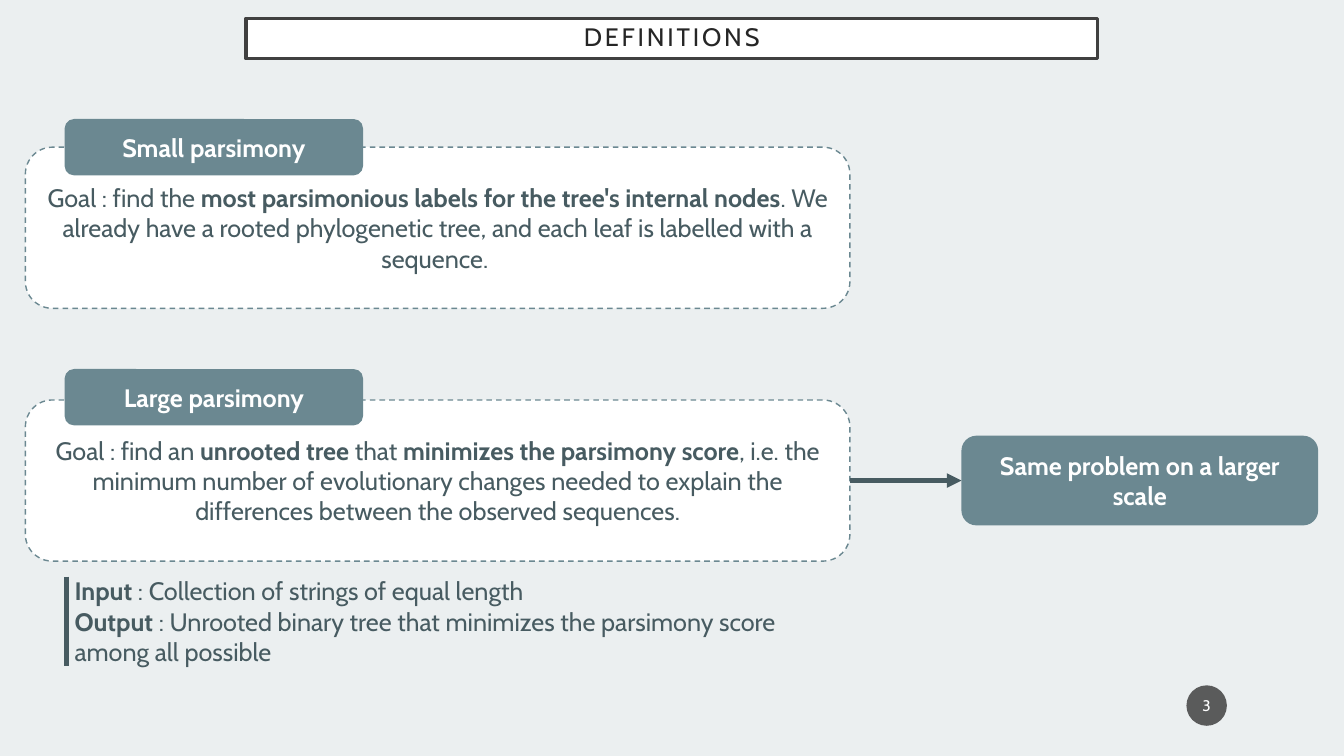
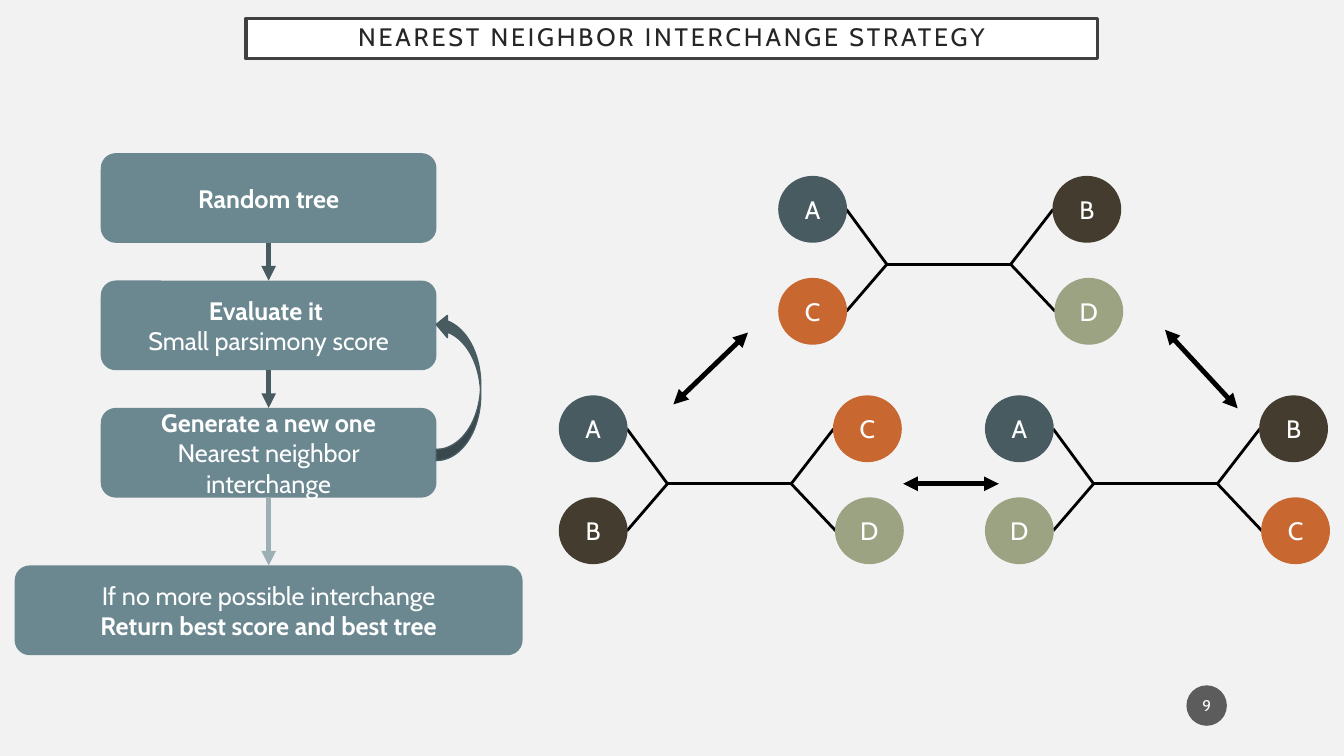
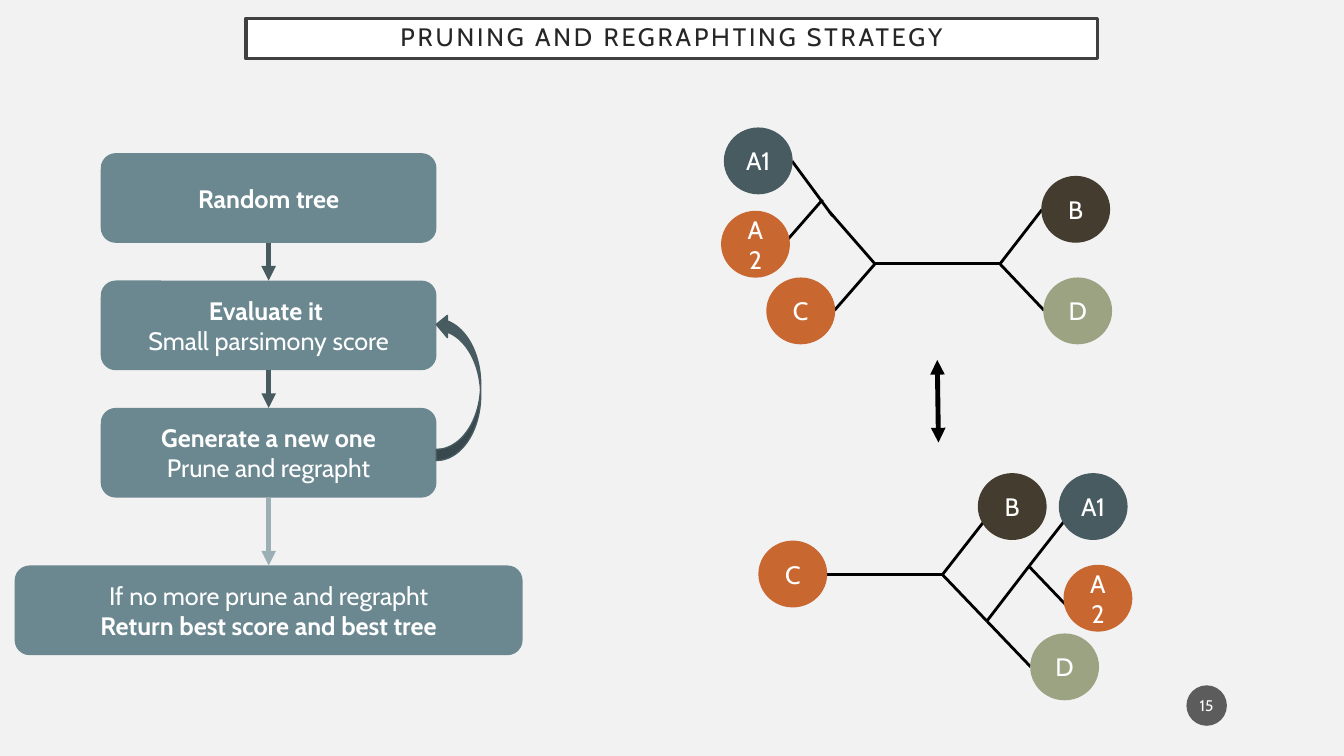
"""Build three slides on parsimony definitions and tree search strategies."""

from dataclasses import dataclass
from typing import NamedTuple

from lxml.etree import SubElement
from pptx import Presentation
from pptx.dml.color import RGBColor
from pptx.enum.dml import MSO_LINE_DASH_STYLE as Dash
from pptx.enum.shapes import MSO_CONNECTOR as ConnectorKind, MSO_SHAPE as ShapeKind
from pptx.enum.text import MSO_ANCHOR as Anchor, MSO_AUTO_SIZE as AutoSize, PP_ALIGN as Align
from pptx.oxml.ns import qn
from pptx.shapes.autoshape import Shape
from pptx.shapes.connector import Connector
from pptx.slide import Slide
from pptx.text.text import TextFrame
from pptx.util import Cm, Pt


@dataclass(frozen=True)
class Theme:
    font: str = "Cabin"
    body_size: float = 18
    badge_size: float = 11
    definition_back: str = "EBEFF0"
    strategy_back: str = "F2F2F2"
    white: str = "FFFFFF"
    black: str = "000000"
    teal: str = "6B8891"
    pale_teal: str = "9BAFB5"
    slate: str = "475B61"
    brown: str = "443C2E"
    orange: str = "C96731"
    green: str = "9CA383"
    title_text: str = "262626"
    title_border: str = "404040"
    badge: str = "1D1D1D"
    hairline: float = 1
    branch_line: float = 2
    title_line: float = 2.5
    arrow_line: float = 3.5


THEME = Theme()
LEAF_COLOURS = {
    "A": THEME.slate,
    "A1": THEME.slate,
    "A2": THEME.orange,
    "B": THEME.brown,
    "C": THEME.orange,
    "D": THEME.green,
}
LEAF_WIDTH, LEAF_HEIGHT = 1.7, 1.65


class Box(NamedTuple):
    left: float
    top: float
    width: float
    height: float


class Point(NamedTuple):
    x: float
    y: float


class Leaf(NamedTuple):
    label: str
    left: float
    top: float


class Branch(NamedTuple):
    start: Point
    end: Point


class Definition(NamedTuple):
    name: str
    goal: str
    tab_top: float
    panel_top: float


class Tree(NamedTuple):
    leaves: list[Leaf]
    branches: list[Branch]


class Strategy(NamedTuple):
    title: str
    number: int
    move: str
    stop: str
    trees: list[Tree]
    swaps: list[Branch]


def write(frame: TextFrame, lines: list[str], colour: str = THEME.white,
          size: float = THEME.body_size, align: Align = Align.CENTER) -> None:
    """Write one paragraph per line, with **marked** parts in bold."""
    frame.word_wrap = True
    for index, line in enumerate(lines):
        paragraph = frame.add_paragraph() if index else frame.paragraphs[0]
        paragraph.alignment = align
        for position, part in enumerate(line.split("**")):
            if part:
                run = paragraph.add_run()
                run.text = part
                run.font.name = THEME.font
                run.font.size = Pt(size)
                run.font.bold = position % 2 == 1
                run.font.color.rgb = RGBColor.from_string(colour)


def paint(shape: Shape, fill: str, line: str | None = None, width: float = THEME.hairline) -> None:
    """Fill and outline a shape."""
    shape.fill.solid()
    shape.fill.fore_color.rgb = RGBColor.from_string(fill)
    if line is None:
        shape.line.fill.background()
    else:
        shape.line.color.rgb = RGBColor.from_string(line)
        shape.line.width = Pt(width)


def add_shape(slide: Slide, kind: ShapeKind, box: Box, fill: str, line: str | None = None) -> Shape:
    """Add a flat preset shape with its text anchored in the middle."""
    shape = slide.shapes.add_shape(kind, *map(Cm, box))
    shape.shadow.inherit = False
    paint(shape, fill, line)
    shape.text_frame.vertical_anchor = Anchor.MIDDLE
    return shape


def add_card(slide: Slide, box: Box, lines: list[str]) -> Shape:
    """Add a teal rounded rectangle with white text."""
    card = add_shape(slide, ShapeKind.ROUNDED_RECTANGLE, box, THEME.teal)
    write(card.text_frame, lines)
    return card


def add_line(slide: Slide, branch: Branch, colour: str, width: float,
             head: bool = False, tail: bool = False) -> Connector:
    """Add a straight connector with optional triangular ends."""
    connector = slide.shapes.add_connector(
        ConnectorKind.STRAIGHT, *map(Cm, branch.start), *map(Cm, branch.end))
    connector.line.color.rgb = RGBColor.from_string(colour)
    connector.line.width = Pt(width)
    properties = connector.element.spPr
    outline = properties.find(qn("a:ln"))
    for tag, shown in (("a:headEnd", head), ("a:tailEnd", tail)):
        if shown:
            SubElement(outline, qn(tag), type="triangle")
    SubElement(properties, qn("a:effectLst"))
    return connector


def join(slide: Slide, first: Shape, first_side: int, second: Shape, second_side: int,
         colour: str = THEME.slate) -> None:
    """Join two shapes with an arrow glued to the given sides."""
    origin = Point(0, 0)
    arrow = add_line(slide, Branch(origin, origin), colour, THEME.arrow_line, tail=True)
    arrow.begin_connect(first, first_side)
    arrow.end_connect(second, second_side)


def add_base(presentation: Presentation, title: str, number: int, back: str) -> Slide:
    """Add a slide with its background, framed title and number badge."""
    slide = presentation.slides.add_slide(presentation.slide_layouts[5])
    slide.background.fill.solid()
    slide.background.fill.fore_color.rgb = RGBColor.from_string(back)

    heading = slide.shapes.title
    heading.left, heading.top, heading.width, heading.height = map(Cm, Box(6.2, 0.46, 21.46, 1.02))
    paint(heading, THEME.white, THEME.title_border, THEME.title_line)
    frame = heading.text_frame
    frame.margin_left = frame.margin_right = frame.margin_top = frame.margin_bottom = Cm(0.51)
    frame.vertical_anchor = Anchor.MIDDLE
    frame.auto_size = AutoSize.NONE
    write(frame, [title], THEME.title_text)
    paragraph = frame.paragraphs[0]
    paragraph.line_spacing = 0.9
    paragraph.runs[0].font._element.set("spc", "200")

    badge = add_shape(slide, ShapeKind.OVAL, Box(29.9, 17.27, 1.02, 1.02), THEME.badge)
    SubElement(badge.element.spPr.find(".//" + qn("a:srgbClr")), qn("a:alpha"), val="70000")
    badge.text_frame.margin_left = badge.text_frame.margin_right = Cm(0.05)
    write(badge.text_frame, [str(number)], size=THEME.badge_size)
    return slide


def add_definition(slide: Slide, definition: Definition) -> Shape:
    """Add a dashed panel with its name tab and return the panel."""
    panel = add_shape(slide, ShapeKind.ROUNDED_RECTANGLE,
                      Box(0.64, definition.panel_top, 20.78, 4.06), THEME.white, THEME.teal)
    panel.line.dash_style = Dash.DASH
    write(panel.text_frame, [definition.goal], THEME.slate)
    add_card(slide, Box(1.63, definition.tab_top, 7.52, 1.42), [f"**{definition.name}**"])
    return panel


def build_definitions(presentation: Presentation) -> None:
    """Build the slide that defines small and large parsimony."""
    slide = add_base(presentation, "DEFINITIONS", 3, THEME.definition_back)
    small = Definition(
        "Small parsimony",
        "Goal : find the **most parsimonious labels for the tree's internal nodes**. "
        "We already have a rooted phylogenetic tree, and each leaf is labelled with a sequence. ",
        3, 3.71)
    large = Definition(
        "Large parsimony",
        "Goal : find an **unrooted tree **that **minimizes the parsimony score**, i.e. the minimum "
        "number of evolutionary changes needed to explain the differences between the observed "
        "sequences.",
        9.3, 10.08)
    add_definition(slide, small)
    large_panel = add_definition(slide, large)

    remark = add_card(slide, Box(24.23, 10.98, 8.99, 2.26), ["**Same problem on a larger scale**"])
    join(slide, large_panel, 3, remark, 1)

    details = slide.shapes.add_textbox(*map(Cm, Box(1.63, 14.38, 19.81, 2.57)))
    details.text_frame.auto_size = AutoSize.SHAPE_TO_FIT_TEXT
    write(details.text_frame, [
        "**Input** : Collection of strings of equal length",
        "**Output** : Unrooted binary tree that minimizes the parsimony score among all possible",
    ], THEME.slate, align=Align.LEFT)
    add_line(slide, Branch(Point(1.68, 14.53), Point(1.68, 16.79)), THEME.slate, THEME.arrow_line)


def quartet(left: float, top: float, labels: str) -> Tree:
    """Lay out four leaves, left pair first, around one inner branch."""
    places = [Point(0, 0), Point(0, 2.57), Point(6.91, 0), Point(6.96, 2.57)]
    leaves = [Leaf(label, left + x, top + y) for label, (x, y) in zip(labels, places)]
    joints = [Point(left + 2.72, top + 2.21), Point(left + 5.84, top + 2.21)]
    branches = [Branch(*joints)]
    for index, leaf in enumerate(leaves):
        on_right = index // 2
        edge = leaf.left if on_right else leaf.left + LEAF_WIDTH
        branches.append(Branch(joints[on_right], Point(edge, leaf.top + LEAF_HEIGHT / 2)))
    return Tree(leaves, branches)


def fan(start: Point, *ends: Point) -> list[Branch]:
    """Return the branches from one joint to several ends."""
    return [Branch(start, end) for end in ends]


def pruned_tree() -> Tree:
    """Lay out the tree with A1 and A2 beside C."""
    left, right = Point(22.05, 6.65), Point(25.2, 6.65)
    leaves = [Leaf("A1", 18.26, 3.23), Leaf("A2", 18.19, 5.33), Leaf("C", 19.33, 7.01),
              Leaf("B", 26.26, 4.45), Leaf("D", 26.31, 7.01)]
    branches = [
        *fan(left, right, Point(20.9, 5.33), Point(21.03, 7.82)),
        *fan(right, Point(26.26, 5.28), Point(26.31, 7.82)),
        Branch(Point(20.98, 5.44), Point(19.96, 4.06)),
        Branch(Point(20.73, 5.03), Point(19.69, 6.22)),
    ]
    return Tree(leaves, branches)


def regrafted_tree() -> Tree:
    """Lay out the tree with A1 and A2 moved beside D."""
    root, lower, upper = Point(23.75, 14.48), Point(24.87, 15.65), Point(25.93, 14.27)
    leaves = [Leaf("C", 19.13, 13.64), Leaf("D", 25.98, 15.98), Leaf("B", 24.66, 11.94),
              Leaf("A1", 26.7, 11.94), Leaf("A2", 26.82, 14.25)]
    branches = [
        *fan(root, Point(20.62, 14.48), Point(24.82, 13.11), lower),
        *fan(lower, upper, Point(25.98, 16.81)),
        *fan(upper, Point(27, 12.9), Point(27.05, 15.44)),
    ]
    return Tree(leaves, branches)


def add_tree(slide: Slide, tree: Tree) -> None:
    """Draw the branches of a tree and then its leaves."""
    for branch in tree.branches:
        add_line(slide, branch, THEME.black, THEME.branch_line)
    for leaf in tree.leaves:
        colour = LEAF_COLOURS[leaf.label]
        circle = add_shape(slide, ShapeKind.OVAL,
                           Box(leaf.left, leaf.top, LEAF_WIDTH, LEAF_HEIGHT), colour, colour)
        write(circle.text_frame, [leaf.label])


def add_flow(slide: Slide, move: str, stop: str) -> None:
    """Draw the search loop and its stopping step."""
    steps = [
        ["**Random tree**"],
        ["**Evaluate it **", "Small parsimony score"],
        ["**Generate a new one**", move],
    ]
    cards = [add_card(slide, Box(2.54, 3.86 + 3.21 * index, 8.46, 2.26), lines)
             for index, lines in enumerate(steps)]
    result = add_card(slide, Box(0.37, 14.25, 12.8, 2.26),
                      [stop, "**Return best score and best tree**"])
    for upper, lower in zip(cards, cards[1:]):
        join(slide, upper, 2, lower, 0)
    join(slide, cards[-1], 2, result, 0, THEME.pale_teal)
    loop = add_shape(slide, ShapeKind.CURVED_UP_ARROW, Box(9.7, 9.19, 3.71, 1.12),
                     THEME.slate, THEME.slate)
    loop.rotation = 270


def build_strategy(presentation: Presentation, strategy: Strategy) -> None:
    """Build a slide with the search loop and the trees it moves between."""
    slide = add_base(presentation, strategy.title, strategy.number, THEME.strategy_back)
    add_flow(slide, strategy.move, strategy.stop)
    for tree in strategy.trees:
        add_tree(slide, tree)
    for swap in strategy.swaps:
        add_line(slide, swap, THEME.black, THEME.arrow_line, head=True, tail=True)


def main() -> None:
    """Build and save the presentation."""
    presentation = Presentation()
    presentation.slide_width, presentation.slide_height = Cm(33.87), Cm(19.05)
    build_definitions(presentation)
    build_strategy(presentation, Strategy(
        "NEAREST NEIGHBOR INTERCHANGE STRATEGY", 9,
        "Nearest neighbor interchange", "If no more possible interchange",
        [quartet(19.63, 4.45, "ACBD"), quartet(14.1, 9.98, "ABCD"), quartet(24.84, 9.98, "ADBC")],
        [Branch(Point(18.85, 8.38), Point(16.97, 10.19)),
         Branch(Point(29.36, 8.31), Point(31.19, 10.29)),
         Branch(Point(22.76, 12.19), Point(25.17, 12.19))]))
    build_strategy(presentation, Strategy(
        "PRUNING AND REGRAPHTING STRATEGY", 15,
        "Prune and regrapht", "If no more prune and regrapht",
        [pruned_tree(), regrafted_tree()],
        [Branch(Point(23.62, 9.07), Point(23.65, 11.15))]))
    presentation.save("out.pptx")


if __name__ == "__main__":
    main()
